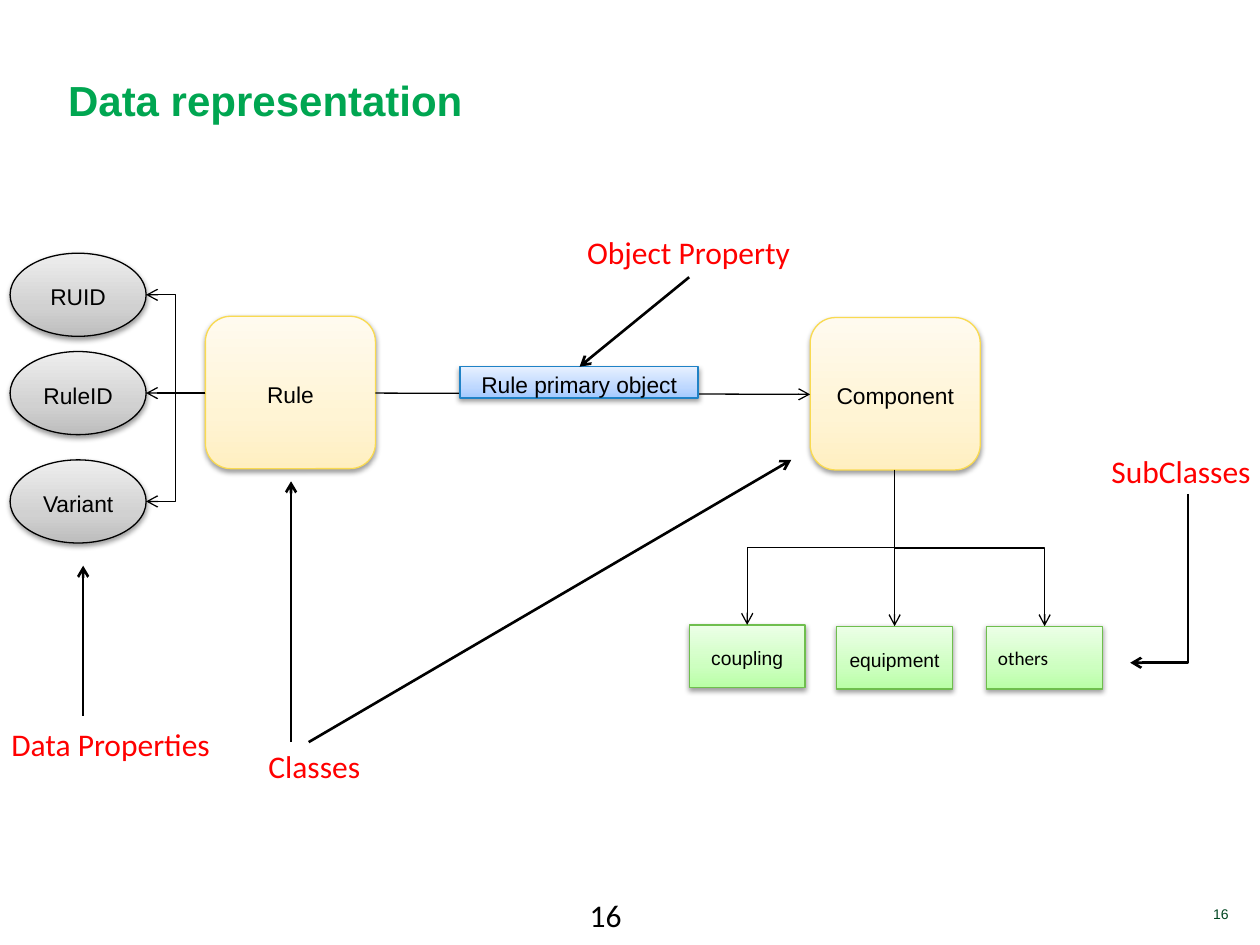
import copy

import pptx
import pptx.dml.color
import pptx.enum.shapes
import pptx.enum.text
import pptx.oxml
import pptx.oxml.ns
import pptx.util
from lxml import etree

Inches, Pt = pptx.util.Inches, pptx.util.Pt
qn = pptx.oxml.ns.qn
SHAPE = pptx.enum.shapes.MSO_SHAPE
CONNECTOR = pptx.enum.shapes.MSO_CONNECTOR
ALIGN = pptx.enum.text.PP_ALIGN
ANCHOR = pptx.enum.text.MSO_ANCHOR

COLORS = {
    "title": "00A651", "label": "FF0000", "text": "000000", "number": "004621",
    "class_line": "F9DA51", "property_line": "1F82C6",
    "subclass_line": "6FBE4E", "data_line": "000000",
}
# Gradient stops run from the bottom of a shape to its top
GRADIENTS = {
    "class": ("FFEFC1", "FFF4D4", "FFFAEF"),
    "property": ("A3C9FF", "BED8FF", "E6F0FF"),
    "subclass": ("B9FFA6", "CDFFC0", "ECFFE7"),
    "data": ("BDBDBD", "D1D1D1", "EEEEEE"),
}
STOPS = (0, 0.35, 1)
SHADOW = (
    '<a:effectLst xmlns:a="http://schemas.openxmlformats.org/drawingml/2006/main">'
    '<a:outerShdw blurRad="39370" dist="20320" dir="5400000" rotWithShape="0">'
    '<a:srgbClr val="000000"><a:alpha val="38000"/></a:srgbClr>'
    '</a:outerShdw></a:effectLst>'
)


def rgb(name):
    return pptx.dml.color.RGBColor.from_string(COLORS.get(name, name))


class Diagram:
    def __init__(self, prs):
        self.s = prs.slides.add_slide(prs.slide_layouts[5])

    def set_text(self, sp, text, size, color="text", font="Arial", bold=False,
                 align=ALIGN.LEFT, anchor=ANCHOR.TOP, spacing=None,
                 margins=(0.09, 0.04), wrap=True):
        tf = sp.text_frame
        tf.text = text
        tf.word_wrap = wrap
        tf.vertical_anchor = anchor
        tf.margin_left = tf.margin_right = Inches(margins[0])
        tf.margin_top = tf.margin_bottom = Inches(margins[1])
        p = tf.paragraphs[0]
        p.alignment = align
        p.line_spacing = spacing
        r = p.runs[0]
        r.font.name, r.font.size, r.font.bold = font, Pt(size), bold
        r.font.color.rgb = rgb(color)

    def title(self, text, x, y, w, h):
        sp = self.s.shapes.title
        sp.left, sp.top, sp.width, sp.height = map(Inches, (x, y, w, h))
        self.set_text(sp, text, 24, "title", bold=True, anchor=ANCHOR.BOTTOM,
                      margins=(0.1, 0.05))

    def text(self, text, x, y, w, h, size=18, color="label", font="Calibri", **style):
        sp = self.s.shapes.add_textbox(*map(Inches, (x, y, w, h)))
        self.set_text(sp, text, size, color, font, **style)

    def node(self, kind, shape, text, x, y, w, h, size=13, font="Arial",
             align=ALIGN.CENTER, spacing=1.15):
        sp = self.s.shapes.add_shape(shape, *map(Inches, (x, y, w, h)))
        sp.fill.gradient()
        sp.fill.gradient_angle = 90
        stops = sp._element.spPr.find(".//" + qn("a:gsLst"))
        stops.insert(1, copy.deepcopy(stops[0]))
        for stop, position, color in zip(sp.fill.gradient_stops, STOPS, GRADIENTS[kind]):
            stop.position = position
            stop.color.rgb = rgb(color)
        sp.line.color.rgb = rgb(kind + "_line")
        sp.line.width = Pt(0.75)
        sp._element.spPr.append(pptx.oxml.parse_xml(SHADOW))
        self.set_text(sp, text, size, font=font, align=align,
                      anchor=ANCHOR.MIDDLE, spacing=spacing)

    def arrow(self, start, end, width=0.75, kind=CONNECTOR.STRAIGHT):
        c = self.s.shapes.add_connector(kind, *map(Inches, start + end))
        c.line.color.rgb = rgb("text")
        c.line.width = Pt(width)
        spPr = c._element.spPr
        etree.SubElement(spPr.find(qn("a:ln")), qn("a:tailEnd"), type="arrow")
        etree.SubElement(spPr, qn("a:effectLst"))
        return spPr

    def down_elbow(self, start, end, width=0.75, bend=0.5):
        """An elbow that leaves downwards: a sideways elbow turned about its centre."""
        (x1, y1), (x2, y2) = start, end
        cx, cy = (x1 + x2) / 2, (y1 + y2) / 2
        half_w, half_h = (y2 - y1) / 2, abs(x2 - x1) / 2
        side = 1 if x2 > x1 else -1
        spPr = self.arrow((cx + side * half_w, cy - half_h),
                          (cx - side * half_w, cy + half_h), width, CONNECTOR.ELBOW)
        spPr.find(qn("a:xfrm")).set("rot", str((270 if side > 0 else 90) * 60000))
        guides = spPr.find(qn("a:prstGeom")).find(qn("a:avLst"))
        etree.SubElement(guides, qn("a:gd"), name="adj1", fmla=f"val {int(bend * 100000)}")


def main():
    prs = pptx.Presentation()
    prs.slide_width, prs.slide_height = Inches(10), Inches(7.5)
    d = Diagram(prs)

    # Title and slide numbers
    d.title("Data representation", 0.44, 0.36, 9.23, 0.68)
    d.text("16", 8.54, 7.14, 1.31, 0.23, 8, "number", "Arial", align=ALIGN.RIGHT,
           anchor=ANCHOR.BOTTOM, margins=(0.1, 0.05))
    d.text("16", 4.59, 7.07, 0.84, 0.24, color="text")

    # Classes joined by the object property
    d.node("class", SHAPE.ROUNDED_RECTANGLE, "Rule", 1.63, 2.51, 1.35, 1.21)
    d.node("class", SHAPE.ROUNDED_RECTANGLE, "Component", 6.43, 2.52, 1.35, 1.21)
    d.arrow((2.98, 3.12), (6.43, 3.13))
    d.node("property", SHAPE.RECTANGLE, "Rule primary object", 3.65, 2.91, 1.89, 0.25)

    # Subclasses below the component
    plain = {"font": "Calibri", "align": ALIGN.LEFT, "spacing": None}
    for text, x, y, style in (("coupling", 5.47, 4.96, {}),
                              ("equipment", 6.64, 4.97, {}),
                              ("others", 7.83, 4.97, plain)):
        d.node("subclass", SHAPE.RECTANGLE, text, x, y, 0.92, 0.5, size=11, **style)
        d.down_elbow((7.1, 3.73), (x + 0.46, y))

    # Data properties left of the rule
    for text, y in (("RUID", 2.01), ("RuleID", 2.79), ("Variant", 3.65)):
        d.node("data", SHAPE.OVAL, text, 0.08, y, 1.08, 0.66)
        d.arrow((1.63, 3.12), (1.16, y + 0.33), kind=CONNECTOR.ELBOW)

    # Pointers from the red labels
    for start, end in (((2.31, 5.89), (2.31, 3.82)), ((2.45, 5.89), (6.28, 3.65)),
                       ((0.66, 5.68), (0.66, 4.49)), ((5.47, 2.2), (4.6, 2.91))):
        d.arrow(start, end, 1.5)
    d.down_elbow((9.43, 3.92), (8.97, 5.26), 1.5, bend=1)

    # Red labels
    for text, x, y, w in (("Data Properties", 0, 5.71, 1.77),
                          ("Object Property", 4.57, 1.81, 1.8),
                          ("Classes", 2.04, 5.89, 0.91),
                          ("SubClasses", 8.73, 3.55, 1.29)):
        d.text(text, x, y, w, 0.39, wrap=False)

    prs.save("out.pptx")


if __name__ == "__main__":
    main()
